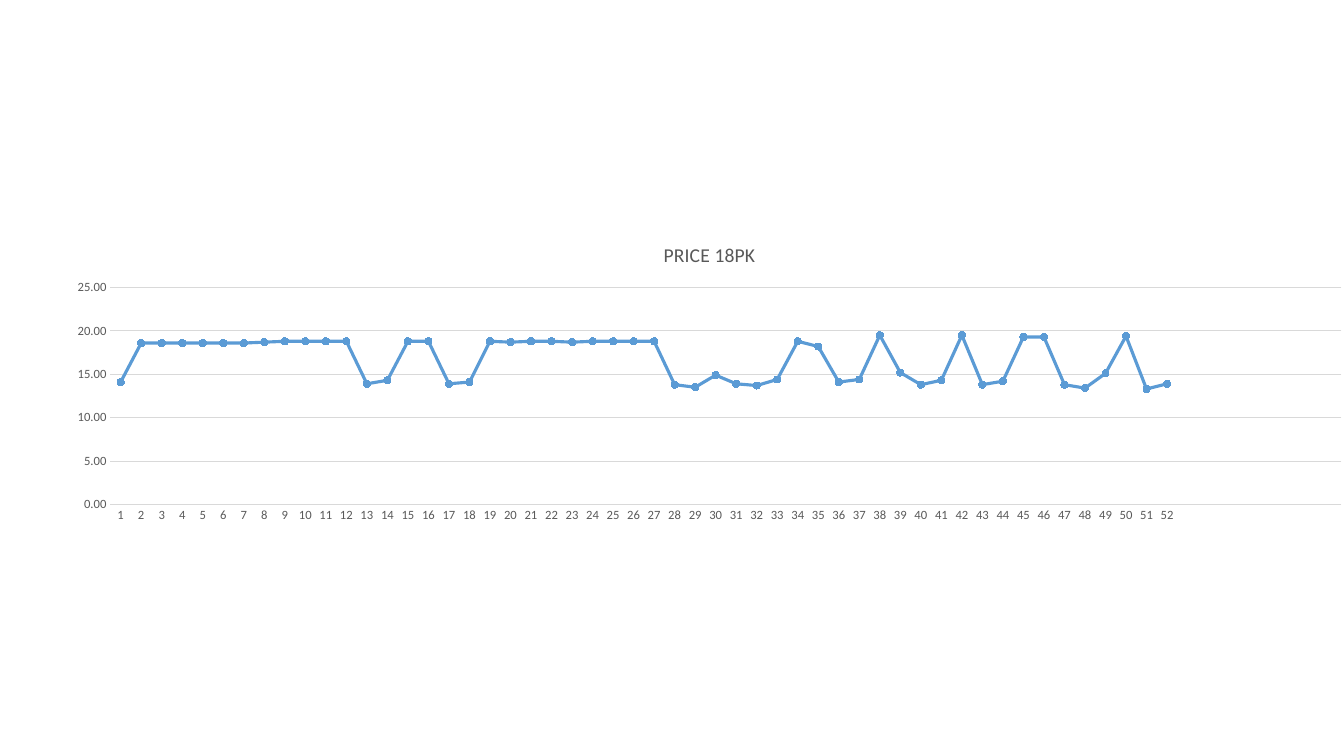
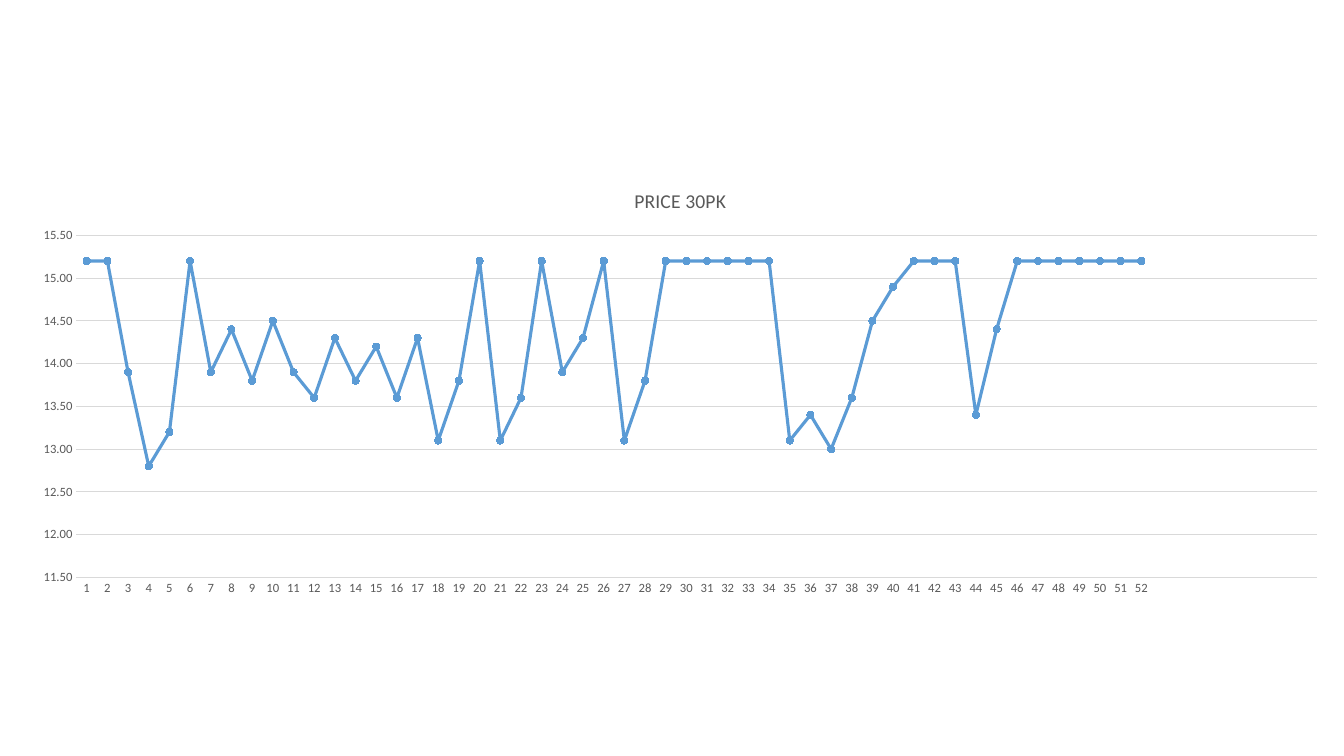
from dataclasses import dataclass

from pptx import Presentation
from pptx.chart.data import CategoryChartData
from pptx.dml.color import RGBColor
from pptx.enum import chart as ch
from pptx.util import Pt


@dataclass(frozen=True)
class Theme:
    font: str = "Calibri"
    text: RGBColor = RGBColor(0x59, 0x59, 0x59)
    grid: RGBColor = RGBColor(0xD9, 0xD9, 0xD9)
    series: RGBColor = RGBColor(0x5B, 0x9B, 0xD5)
    title_size: int = 14
    label_size: int = 9
    grid_width: float = 0.75
    series_width: float = 2.25
    marker_size: int = 5


THEME = Theme()
SLIDE_SIZE = (960, 540)
WEEKS = 52
SLOTS = 60

CHARTS = [
    {
        "title": "PRICE 18PK",
        "box": (36.72, 162, 940.32, 216),
        "scale": (0, 25, 5),
        "prices": [
            14.1, 18.6, 18.6, 18.6, 18.6, 18.6, 18.6, 18.7, 18.8, 18.8, 18.8, 18.8, 13.9,
            14.3, 18.8, 18.8, 13.9, 14.1, 18.8, 18.7, 18.8, 18.8, 18.7, 18.8, 18.8, 18.8,
            18.8, 13.8, 13.5, 14.9, 13.9, 13.7, 14.4, 18.8, 18.2, 14.1, 14.4, 19.5, 15.2,
            13.8, 14.3, 19.5, 13.8, 14.2, 19.3, 19.3, 13.8, 13.4, 15.1, 19.4, 13.3, 13.9,
        ],
    },
    {
        "title": "PRICE 30PK",
        "box": (12.24, 120.96, 947.52, 311.04),
        "scale": (11.5, 15.5, 0.5),
        "prices": [
            15.2, 15.2, 13.9, 12.8, 13.2, 15.2, 13.9, 14.4, 13.8, 14.5, 13.9, 13.6, 14.3,
            13.8, 14.2, 13.6, 14.3, 13.1, 13.8, 15.2, 13.1, 13.6, 15.2, 13.9, 14.3, 15.2,
            13.1, 13.8, 15.2, 15.2, 15.2, 15.2, 15.2, 15.2, 13.1, 13.4, 13, 13.6, 14.5,
            14.9, 15.2, 15.2, 15.2, 13.4, 14.4, 15.2, 15.2, 15.2, 15.2, 15.2, 15.2, 15.2,
        ],
    },
]


def style_font(font, size):
    font.name = THEME.font
    font.size = Pt(size)
    font.bold = False
    font.color.rgb = THEME.text


def style_line(line, color, width):
    line.color.rgb = color
    line.width = Pt(width)


def style_axes(chart, scale):
    cat, val = chart.category_axis, chart.value_axis
    for axis in (cat, val):
        axis.major_tick_mark = axis.minor_tick_mark = ch.XL_TICK_MARK.NONE
        style_font(axis.tick_labels.font, THEME.label_size)
    style_line(cat.format.line, THEME.grid, THEME.grid_width)
    val.format.line.fill.background()
    val.has_major_gridlines = True
    style_line(val.major_gridlines.format.line, THEME.grid, THEME.grid_width)
    val.minimum_scale, val.maximum_scale, val.major_unit = scale
    val.tick_labels.number_format = "0.00"
    val.tick_labels.number_format_is_linked = False


def style_series(series):
    series.smooth = False
    style_line(series.format.line, THEME.series, THEME.series_width)
    marker = series.marker
    marker.style = ch.XL_MARKER_STYLE.CIRCLE
    marker.size = THEME.marker_size
    marker.format.fill.solid()
    marker.format.fill.fore_color.rgb = THEME.series
    marker.format.line.color.rgb = THEME.series


def add_price_chart(slide, item):
    blank = SLOTS - WEEKS
    data = CategoryChartData(number_format="0.00")
    data.categories = [str(week) for week in range(1, WEEKS + 1)] + [""] * blank
    data.add_series(item["title"], item["prices"] + [None] * blank)
    frame = slide.shapes.add_chart(
        ch.XL_CHART_TYPE.LINE_MARKERS, *map(Pt, item["box"]), data
    )
    chart = frame.chart
    chart.font.name = THEME.font
    chart.font.size = Pt(10)
    chart.has_legend = False
    chart.has_title = True
    chart.chart_title.include_in_layout = False
    p = chart.chart_title.text_frame.paragraphs[0]
    p.text = item["title"]
    style_font(p.font, THEME.title_size)
    style_axes(chart, item["scale"])
    plot = chart.plots[0]
    plot.vary_by_categories = False
    style_series(plot.series[0])


def main():
    prs = Presentation()
    prs.slide_width, prs.slide_height = map(Pt, SLIDE_SIZE)
    for item in CHARTS:
        add_price_chart(prs.slides.add_slide(prs.slide_layouts[6]), item)
    prs.save("out.pptx")


if __name__ == "__main__":
    main()
